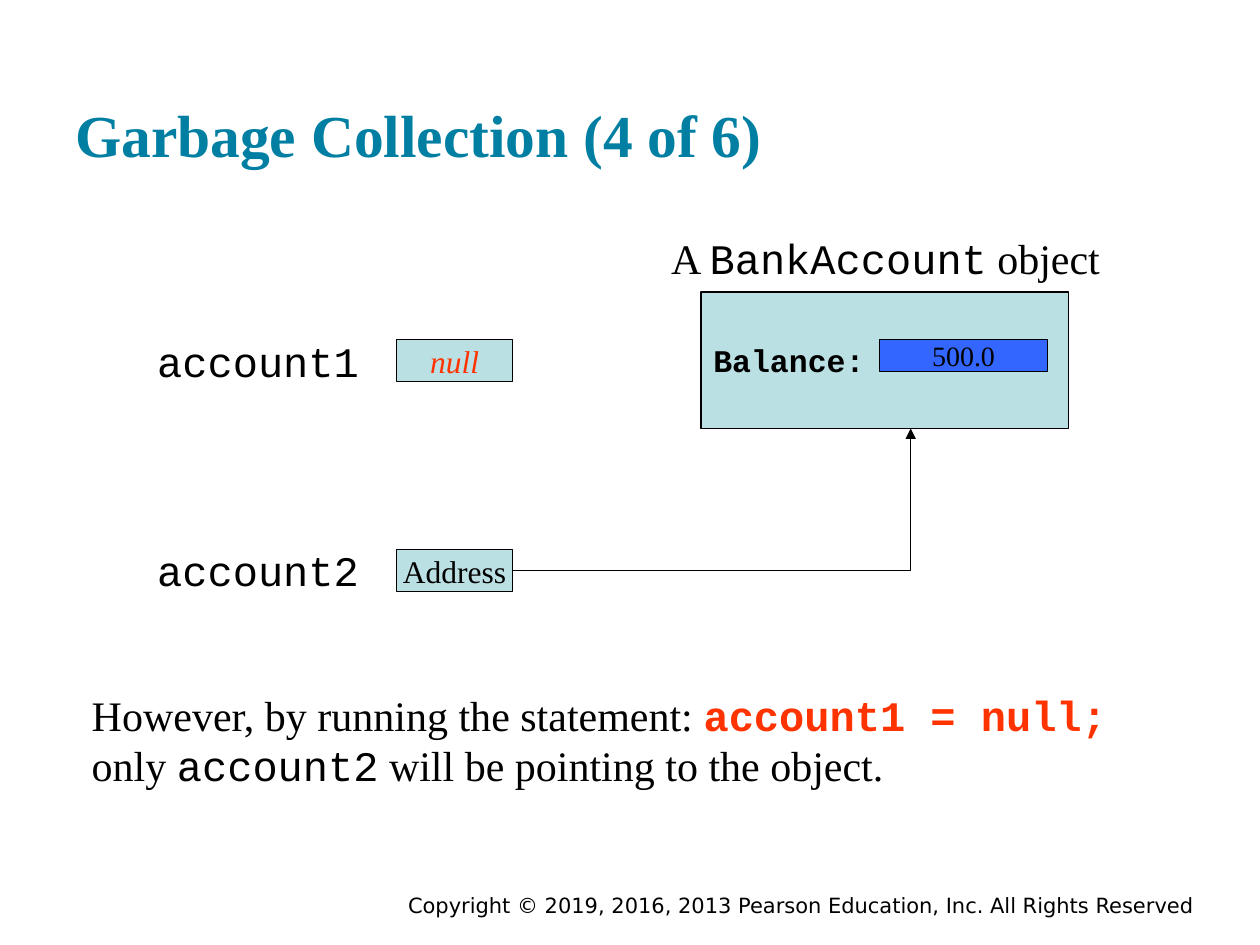
from dataclasses import dataclass
from typing import Optional

from lxml.etree import SubElement
from pptx import Presentation
from pptx.dml.color import RGBColor
from pptx.enum.shapes import MSO_CONNECTOR as Connector, MSO_SHAPE as Shape
from pptx.enum.text import MSO_ANCHOR as Anchor, MSO_AUTO_SIZE as AutoSize, PP_ALIGN as Align
from pptx.oxml.ns import qn
from pptx.util import Cm, Pt

SERIF = "Times New Roman"
MONO = "Courier New"
SANS = "DejaVu Sans"
BLACK = "000000"
TEAL = "007FA3"
RED = "FF3300"
PALE = "BBE0E3"
BLUE = "3366FF"


@dataclass(frozen=True)
class Run:
    text: str
    font: str = SERIF
    color: str = BLACK
    bold: bool = False
    italic: bool = False


@dataclass(frozen=True)
class Box:
    left: float
    top: float
    width: float
    height: float

    def lengths(self) -> tuple:
        return Cm(self.left), Cm(self.top), Cm(self.width), Cm(self.height)


@dataclass(frozen=True)
class Variable:
    name: str
    value: Run


def rgb(color: str) -> RGBColor:
    return RGBColor.from_string(color)


def write(shape, *lines: list[Run], size: float, align=Align.LEFT,
          anchor=Anchor.TOP, wrap: bool = True) -> None:
    frame = shape.text_frame
    frame.auto_size = AutoSize.NONE
    frame.word_wrap = wrap
    frame.vertical_anchor = anchor
    for index, runs in enumerate(lines):
        paragraph = frame.add_paragraph() if index else frame.paragraphs[0]
        paragraph.alignment = align
        for item in runs:
            run = paragraph.add_run()
            run.text = item.text
            font = run.font
            font.name, font.size = item.font, Pt(size)
            font.bold, font.italic = item.bold, item.italic
            font.color.rgb = rgb(item.color)


def add_text(slide, box: Box, *lines: list[Run], **style) -> None:
    write(slide.shapes.add_textbox(*box.lengths()), *lines, **style)


def add_box(slide, box: Box, fill: str, run: Run, size: float, align=Align.CENTER) -> None:
    shape = slide.shapes.add_shape(Shape.RECTANGLE, *box.lengths())
    shape.shadow.inherit = False
    shape.fill.solid()
    shape.fill.fore_color.rgb = rgb(fill)
    shape.line.color.rgb = rgb(BLACK)
    shape.line.width = Pt(0.75)
    write(shape, [run], size=size, align=align, anchor=Anchor.MIDDLE, wrap=False)


def add_elbow_arrow(slide, start: tuple[float, float], end: tuple[float, float]) -> None:
    connector = slide.shapes.add_connector(
        Connector.ELBOW, *(Cm(value) for value in start + end))
    connector.line.color.rgb = rgb(BLACK)
    connector.line.width = Pt(0.75)
    properties = connector._element.spPr
    properties.find(qn("a:prstGeom")).set("prst", "bentConnector2")
    SubElement(properties.find(qn("a:ln")), qn("a:tailEnd"), type="triangle")
    SubElement(properties, qn("a:effectLst"))


def add_variable(slide, variable: Variable, top: float, box: Optional[Box] = None) -> Box:
    box = box or Box(8, top, 2.33, 0.84)
    add_text(slide, Box(2.92, top - 0.22, 4.65, 1.27), [Run(variable.name, MONO)], size=24)
    add_box(slide, box, PALE, variable.value, size=18)
    return box


def main() -> None:
    presentation = Presentation()
    presentation.slide_width, presentation.slide_height = Cm(25.4), Cm(19.05)
    slide = presentation.slides.add_slide(presentation.slide_layouts[5])

    title = slide.shapes.title
    title.left, title.top, title.width, title.height = Box(1.27, 0.61, 22.86, 3.05).lengths()
    write(title, [Run("Garbage Collection (4 of 6)", color=TEAL, bold=True)],
          size=34, anchor=Anchor.BOTTOM)
    frame = title.text_frame
    frame.margin_left = frame.margin_right = Cm(0.25)
    frame.margin_top = frame.margin_bottom = Cm(0.25)

    add_text(slide, Box(1.6, 13.77, 22.43, 2.29),
             [Run("However, by running the statement: "),
              Run("account1 = null;", MONO, RED, bold=True)],
             [Run("only "), Run("account2", MONO),
              Run(" will be pointing to the object.")], size=24)
    add_text(slide, Box(13.28, 4.57, 9.19, 1.27),
             [Run("A "), Run("BankAccount", MONO), Run(" object")], size=24, wrap=False)

    variables = [Variable("account1", Run("null", color=RED, italic=True)),
                 Variable("account2", Run("Address"))]
    first_row, row_pitch = 6.85, 4.23
    cells = [add_variable(slide, variable, first_row + row * row_pitch)
             for row, variable in enumerate(variables)]

    account = Box(14.13, 5.89, 7.41, 2.75)
    pointer = cells[-1]
    add_elbow_arrow(slide,
                    (pointer.left + pointer.width, pointer.top + pointer.height / 2),
                    (18.36, account.top + account.height))
    add_box(slide, account, PALE, Run("Balance:", MONO, bold=True), size=18, align=Align.LEFT)
    add_box(slide, Box(17.73, first_row, 3.39, 0.64), BLUE, Run("500.0"), size=16)

    add_text(slide, Box(4.45, 17.86, 19.88, 0.56),
             [Run("Copyright © 2019, 2016, 2013 Pearson Education, Inc. All Rights Reserved",
                  SANS)], size=12, align=Align.RIGHT)
    presentation.save("out.pptx")


if __name__ == "__main__":
    main()
